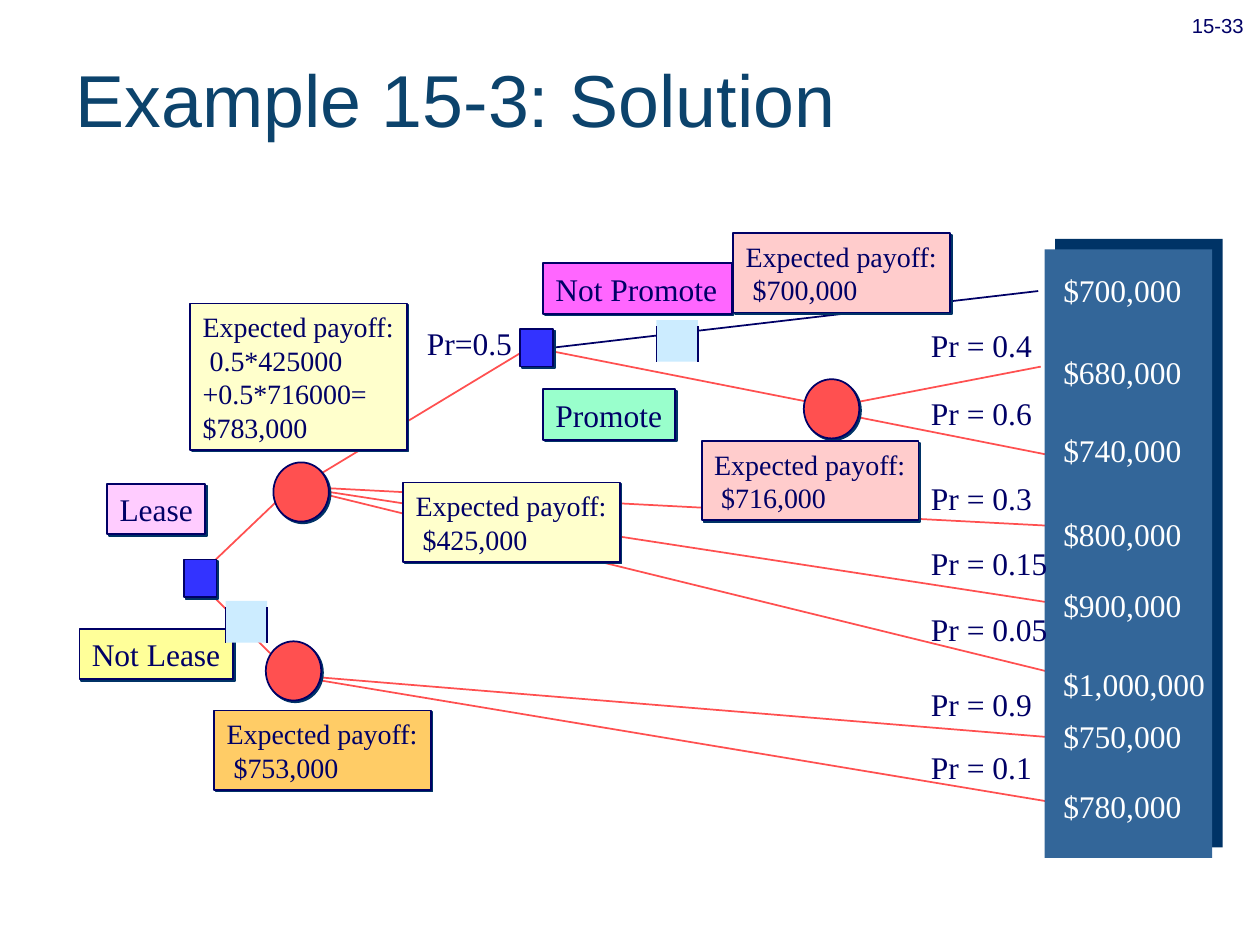
from lxml import etree
from pptx import Presentation
from pptx.dml.color import RGBColor
from pptx.enum.shapes import MSO_CONNECTOR, MSO_SHAPE
from pptx.enum.text import MSO_ANCHOR, MSO_AUTO_SIZE, PP_ALIGN
from pptx.oxml.ns import qn
from pptx.util import Inches, Pt

RECTANGLE = MSO_SHAPE.RECTANGLE
OVAL = MSO_SHAPE.OVAL
STRAIGHT = MSO_CONNECTOR.STRAIGHT
MIDDLE = MSO_ANCHOR.MIDDLE
TOP = MSO_ANCHOR.TOP
FIT_SHAPE = MSO_AUTO_SIZE.SHAPE_TO_FIT_TEXT
NO_FIT = MSO_AUTO_SIZE.NONE
LEFT = PP_ALIGN.LEFT
CENTER = PP_ALIGN.CENTER

SERIF = "Times New Roman"
SANS = "Arial"
COLORS = {
    "title": "0C436C", "navy": "000066", "red": "FF5050", "blue": "3333FF",
    "panel": "336699", "shadow": "003366", "white": "FFFFFF", "gap": "CCECFF",
    "lilac": "FFCCFF", "yellow": "FFFF99", "magenta": "FF66FF", "mint": "99FFCC",
    "orange": "FFCC66", "pink": "FFCCCC", "cream": "FFFFCC",
}

BRANCHES = [
    (2.3, 3.88, 1.64, 4.51, "red"),
    (2.3, 5.34, 1.64, 4.68, "red"),
    (2.3, 5.36, 8.49, 6.39, "red"),
    (2.34, 5.36, 8.56, 5.87, "red"),
    (2.32, 3.86, 8.56, 5.39, "red"),
    (2.32, 3.86, 8.47, 4.18, "red"),
    (2.32, 3.86, 8.51, 4.81, "red"),
    (2.38, 3.86, 4.2, 2.76, "red"),
    (4.21, 2.78, 8.24, 2.31, "navy"),
    (4.24, 2.76, 6.47, 3.2, "red"),
    (6.55, 3.26, 8.47, 3.64, "red"),
    (6.55, 3.24, 8.26, 2.91, "red"),
]
CHANCE_NODES = [(2.17, 3.67), (2.11, 5.09), (6.38, 3.01)]
DECISION_NODES = [(1.46, 4.44), (4.13, 2.61)]
PRUNED_BRANCHES = [(5.21, 2.54), (1.79, 4.77)]
PAYOFFS = [
    ("$700,000", 2.1), ("$680,000", 2.75), ("$740,000", 3.37), ("$800,000", 4.04),
    ("$900,000", 4.6), ("$1,000,000", 5.23), ("$750,000", 5.64), ("$780,000", 6.2),
]
PROBABILITIES = [
    ("0.4", 2.54), ("0.6", 3.08), ("0.3", 3.75), ("0.15", 4.27),
    ("0.05", 4.79), ("0.9", 5.39), ("0.1", 5.89),
]
CHOICES = [
    ("Lease", 0.85, 3.84, 0.78, "lilac"),
    ("Not Lease", 0.63, 4.99, 1.22, "yellow"),
    ("Not Promote", 4.31, 2.09, 1.5, "magenta"),
    ("Promote", 4.31, 3.09, 1.05, "mint"),
]
EXPECTED_PAYOFFS = [
    (" $753,000", 1.7, 5.64, 0.63, "orange"),
    (" $716,000", 5.57, 3.5, 0.63, "pink"),
    (" $425,000", 3.2, 3.83, 0.63, "cream"),
    (" $700,000", 5.82, 1.85, 0.63, "pink"),
    (" 0.5*425000\n+0.5*716000=\n$783,000", 1.51, 2.41, 1.16, "cream"),
]


def rgb(color):
    return RGBColor.from_string(COLORS[color])


def write_text(shape, text, size=18, color="navy", font=SERIF, align=LEFT,
               anchor=TOP, wrap=False, fit=FIT_SHAPE, space_before=0, baseline=0):
    frame = shape.text_frame
    frame.text = text
    frame.word_wrap = wrap
    frame.auto_size = fit
    frame.vertical_anchor = anchor
    for paragraph in frame.paragraphs:
        paragraph.alignment = align
        paragraph.space_before = Pt(space_before)
        for run in paragraph.runs:
            run.font.name = font
            run.font.size = Pt(size)
            run.font.color.rgb = rgb(color)
            if baseline:
                run.font._element.set("baseline", str(baseline * 1000))


def add_shadow(shape, distance, angle):
    effects = shape._element.spPr.find(qn("a:effectLst"))
    shadow = etree.SubElement(effects, qn("a:outerShdw"), blurRad="0",
                              dist=str(Pt(distance)), dir=str(angle * 60000),
                              algn="ctr", rotWithShape="0")
    etree.SubElement(shadow, qn("a:srgbClr"), val=COLORS["shadow"])


def add_block(slide, kind, left, top, width, height, fill, outline="navy",
              shadow=(1.4, 45)):
    shape = slide.shapes.add_shape(kind, Inches(left), Inches(top),
                                   Inches(width), Inches(height))
    shape.fill.solid()
    shape.fill.fore_color.rgb = rgb(fill)
    if outline:
        shape.line.color.rgb = rgb(outline)
        shape.line.width = Pt(1)
    else:
        shape.line.fill.background()
    shape.shadow.inherit = False
    if shadow:
        add_shadow(shape, *shadow)
    return shape


def add_line(slide, x1, y1, x2, y2, color):
    line = slide.shapes.add_connector(STRAIGHT, Inches(x1), Inches(y1),
                                      Inches(x2), Inches(y2))
    line.line.color.rgb = rgb(color)
    line.line.width = Pt(1)
    etree.SubElement(line._element.spPr, qn("a:effectLst"))


def add_label(slide, text, left, top, width, height=0.4, **text_format):
    box = slide.shapes.add_textbox(Inches(left), Inches(top),
                                   Inches(width), Inches(height))
    write_text(box, text, **text_format)


def add_pruned_branch(slide, left, top, size=0.33):
    add_block(slide, RECTANGLE, left, top, size, size, "gap", outline=None, shadow=None)
    for x in (left, left + size):
        add_line(slide, x, top + 0.05, x, top + size, "navy")


def add_title(slide, text):
    title = slide.shapes.title
    title.left, title.top = Inches(0.5), Inches(0.15)
    title.width, title.height = Inches(9.27), Inches(1.25)
    write_text(title, text, size=42, color="title", font=SANS, anchor=MIDDLE,
               wrap=True, fit=NO_FIT)


def add_tree(slide):
    for branch in BRANCHES:
        add_line(slide, *branch)
    for left, top in CHANCE_NODES:
        add_block(slide, OVAL, left, top, 0.44, 0.47, "red")
    for left, top in DECISION_NODES:
        add_block(slide, RECTANGLE, left, top, 0.26, 0.3, "blue")


def add_payoff_panel(slide):
    add_block(slide, RECTANGLE, 8.29, 1.98, 1.33, 4.83, "panel", outline=None,
              shadow=(8.5, 315))
    for payoff, top in PAYOFFS:
        width = 1.36 if len(payoff) > 8 else 1.15
        add_label(slide, payoff, 8.34, top, width, color="white")


def add_tree_labels(slide):
    for probability, top in PROBABILITIES:
        width = 1.16 if len(probability) > 3 else 1.02
        add_label(slide, f"Pr = {probability}", 7.29, top, width)
    add_label(slide, "Pr=0.5", 3.29, 2.52, 0.9)
    for text, left, top, width, fill in CHOICES:
        box = add_block(slide, RECTANGLE, left, top, width, 0.4, fill)
        write_text(box, text)
    for value, left, top, height, fill in EXPECTED_PAYOFFS:
        box = add_block(slide, RECTANGLE, left, top, 1.72, height, fill)
        write_text(box, f"Expected payoff:\n{value}", size=16)


def main():
    presentation = Presentation()
    presentation.slide_width = Inches(10)
    presentation.slide_height = Inches(7.5)
    slide = presentation.slides.add_slide(presentation.slide_layouts[5])
    add_title(slide, "Example 15-3: Solution")
    add_tree(slide)
    add_payoff_panel(slide)
    add_tree_labels(slide)
    for left, top in PRUNED_BRANCHES:
        add_pruned_branch(slide, left, top)
    add_label(slide, "15-33", 9.29, -0.13, 0.75, 0.48, size=20, font=SANS,
              align=CENTER, wrap=True, space_before=12.5, baseline=-25)
    presentation.save("out.pptx")


if __name__ == "__main__":
    main()
